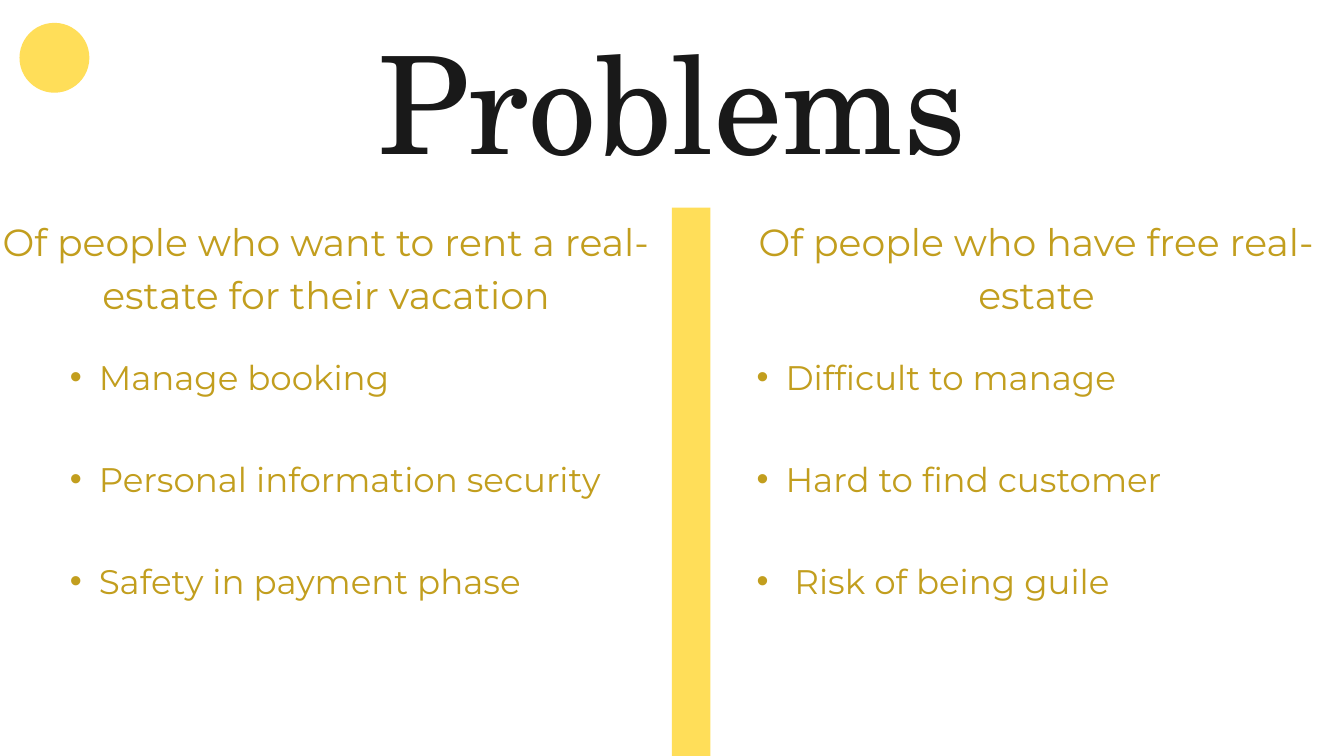
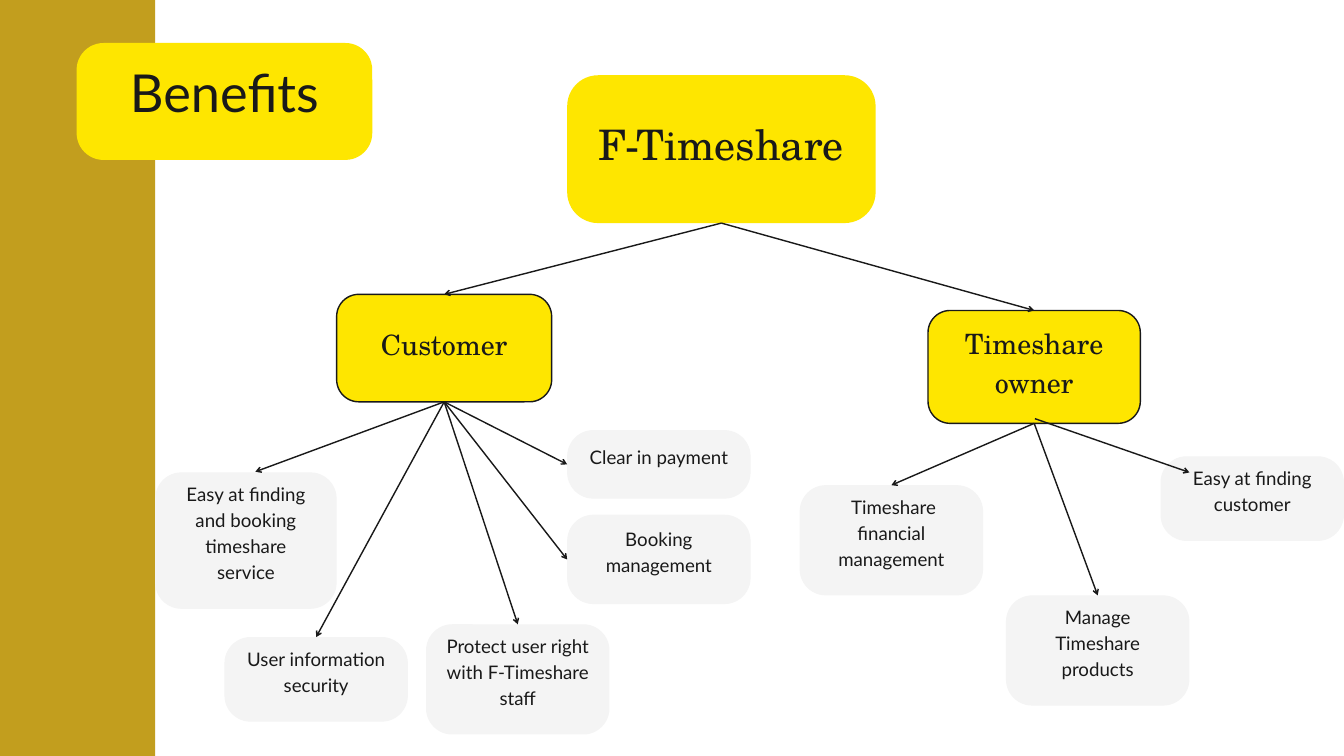
"""Build the Problems and Benefits slides of the timeshare deck."""
from dataclasses import dataclass
from typing import NamedTuple, Optional

from pptx import Presentation
from pptx import util as u
from pptx.dml.color import RGBColor
from pptx.enum import shapes, text
from pptx.oxml import ns
from lxml import etree

PX = 9144
INK, GOLD, AMBER, YELLOW, GREY = "191919", "C29E1E", "FFDE59", "FEE600", "F4F4F4"
SERIF, SANS, BODY = "TeX Gyre Schola", "Lato", "Montserrat"
LINE_WIDTH = u.Pt(1.5)


class Box(NamedTuple):
    left: int
    top: int
    width: int
    height: int


class TextStyle(NamedTuple):
    font: str
    size: float
    leading: float
    colour: str = INK
    align: Optional[text.PP_ALIGN] = text.PP_ALIGN.CENTER


class NodeStyle(NamedTuple):
    text: TextStyle
    fill: str
    radius: int
    top_inset: int = 0
    outlined: bool = False


@dataclass
class Node:
    name: str
    label: str
    box: Box
    style: NodeStyle


@dataclass
class Link:
    parent: str
    child: str
    site: int = 0
    start: Optional[tuple[int, int]] = None
    end: Optional[tuple[int, int]] = None


@dataclass
class Column:
    heading: str
    items: list[str]
    heading_left: int
    list_left: int
    first_idx: int


BIG_TITLE = TextStyle(SERIF, 145.3, 203.4)
PILL_TITLE = TextStyle(SANS, 56, 67.2)
HEADING = TextStyle(BODY, 40.5, 56.7, GOLD)
ITEM = TextStyle(BODY, 36.5, 51.1, GOLD, text.PP_ALIGN.LEFT)
ITEM_GAP = 58.3

ROOT = NodeStyle(TextStyle(SERIF, 45, 63), YELLOW, 46)
GROUP = NodeStyle(TextStyle(SERIF, 30, 42), YELLOW, 33, 8, True)
LEAF = NodeStyle(TextStyle(SANS, 20, 28), GREY, 39)

COLUMNS = [
    Column("Of people who want to rent a real-estate for their vacation",
           ["Manage booking", "Personal information security", "Safety in payment phase"],
           0, 61, 1),
    Column("Of people who have free real-estate",
           ["Difficult to manage", "Hard to find customer", " Risk of being guile"],
           1057, 1083, 3),
]

NODES = [
    Node("root", "F-Timeshare", Box(844, 112, 459, 220), ROOT),
    Node("customer", "Customer", Box(501, 438, 320, 160), GROUP),
    Node("owner", "Timeshare owner", Box(1381, 462, 316, 168), GROUP),
    Node("finding", "Easy at finding and booking timeshare service",
         Box(231, 703, 270, 203), LEAF),
    Node("security", "User information security", Box(334, 948, 273, 126), LEAF),
    Node("right", "Protect user right with F-Timeshare staff", Box(634, 929, 273, 164), LEAF),
    Node("payment", "Clear in payment", Box(844, 640, 273, 102), LEAF),
    Node("booking", "Booking management", Box(844, 766, 273, 133), LEAF),
    Node("financial", " Timeshare financial management", Box(1190, 722, 273, 164), LEAF),
    Node("products", "Manage Timeshare products", Box(1497, 886, 273, 164), LEAF),
    Node("clients", "Easy at finding customer", Box(1727, 679, 273, 126), LEAF),
]

LINKS = [
    Link("root", "customer"),
    Link("root", "owner"),
    Link("customer", "finding", end=(380, 702)),
    Link("customer", "security"),
    Link("customer", "right"),
    Link("customer", "payment", 1),
    Link("customer", "booking", 1),
    Link("owner", "financial"),
    Link("owner", "products"),
    Link("owner", "clients", start=(1540, 623), end=(1770, 703)),
]


def rgb(colour: str) -> RGBColor:
    return RGBColor.from_string(colour)


def emu(box: Box) -> list[int]:
    return [n * PX for n in box]


def set_frame(tf, insets: Box, anchor) -> None:
    tf.word_wrap = True
    tf.auto_size = text.MSO_AUTO_SIZE.NONE
    tf.vertical_anchor = anchor
    tf.margin_left, tf.margin_top, tf.margin_right, tf.margin_bottom = emu(insets)


def write(p, label: str, style: TextStyle, before: float = 0) -> None:
    p.alignment = style.align
    p.line_spacing = u.Pt(style.leading)
    p.space_before = u.Pt(before)
    r = p.add_run()
    r.text = label
    r.font.name = style.font
    r.font.size = u.Pt(style.size)
    r.font.bold = False
    r.font.color.rgb = rgb(style.colour)


def place(sp, box: Box, inset: int = 0, anchor=text.MSO_ANCHOR.TOP):
    sp.left, sp.top, sp.width, sp.height = emu(box)
    set_frame(sp.text_frame, Box(inset, inset, inset, inset), anchor)
    return sp.text_frame


def add_shape(s, kind, box: Box, fill: str, radius: int = 0, outlined: bool = False):
    sp = s.shapes.add_shape(kind, *emu(box))
    sp.shadow.inherit = False
    sp.fill.solid()
    sp.fill.fore_color.rgb = rgb(fill)
    if outlined:
        sp.line.color.rgb = rgb(INK)
        sp.line.width = LINE_WIDTH
    else:
        sp.line.fill.background()
    if radius:
        sp.adjustments[0] = radius / min(box.width, box.height)
    return sp


def add_bullet(p) -> None:
    pPr = p._p.get_or_add_pPr()
    pPr.set("marL", str(86 * PX))
    pPr.set("indent", str(-43 * PX))
    etree.SubElement(pPr, ns.qn("a:buFont")).set("typeface", "Arial")
    etree.SubElement(pPr, ns.qn("a:buChar")).set("char", "•")


def add_column(s, column: Column) -> None:
    heading, items = (s.placeholders[column.first_idx + i] for i in range(2))
    tf = place(heading, Box(column.heading_left, 314, 971, 152))
    write(tf.paragraphs[0], column.heading, HEADING)
    tf = place(items, Box(column.list_left, 520, 917, 372))
    for i, item in enumerate(column.items):
        p = tf.add_paragraph() if i else tf.paragraphs[0]
        add_bullet(p)
        write(p, item, ITEM, ITEM_GAP if i else 0)


def add_node(s, node: Node):
    style = node.style
    sp = add_shape(s, shapes.MSO_SHAPE.ROUNDED_RECTANGLE, node.box, style.fill,
                   style.radius, style.outlined)
    set_frame(sp.text_frame, Box(17, style.top_inset, 17, 28), text.MSO_ANCHOR.MIDDLE)
    write(sp.text_frame.paragraphs[0], node.label, style.text)
    return sp


def add_link(s, link: Link, drawn: dict) -> None:
    ends = (link.start or (0, 0)) + (link.end or (0, 0))
    c = s.shapes.add_connector(shapes.MSO_CONNECTOR.STRAIGHT, *(n * PX for n in ends))
    if link.start is None:
        c.begin_connect(drawn[link.parent], 2)
    if link.end is None:
        c.end_connect(drawn[link.child], link.site)
    c.line.color.rgb = rgb(INK)
    c.line.width = LINE_WIDTH
    spPr = c.element.spPr
    etree.SubElement(spPr.find(ns.qn("a:ln")), ns.qn("a:tailEnd")).set("type", "arrow")
    etree.SubElement(spPr, ns.qn("a:effectLst"))


def build_problems(prs) -> None:
    s = prs.slides.add_slide(prs.slide_layouts[4])
    tf = place(s.shapes.title, Box(500, -12, 1000, 272))
    write(tf.paragraphs[0], "Problems", BIG_TITLE)
    add_shape(s, shapes.MSO_SHAPE.RECTANGLE, Box(1000, 309, 57, 816), AMBER)
    add_shape(s, shapes.MSO_SHAPE.OVAL, Box(29, 34, 104, 104), AMBER)
    for column in COLUMNS:
        add_column(s, column)


def build_benefits(prs) -> None:
    s = prs.slides.add_slide(prs.slide_layouts[5])
    add_shape(s, shapes.MSO_SHAPE.RECTANGLE, Box(0, 0, 231, 1125), GOLD)
    add_shape(s, shapes.MSO_SHAPE.ROUNDED_RECTANGLE, Box(114, 64, 440, 174), YELLOW, 40)
    title = s.shapes.title
    tf = place(title, Box(114, 36, 440, 201), 28, text.MSO_ANCHOR.MIDDLE)
    write(tf.paragraphs[0], "Benefits", PILL_TITLE)
    title.element.getparent().append(title.element)
    drawn = {node.name: add_node(s, node) for node in NODES}
    for link in LINKS:
        add_link(s, link, drawn)


def main() -> None:
    prs = Presentation()
    prs.slide_width, prs.slide_height = 2000 * PX, 1125 * PX
    build_problems(prs)
    build_benefits(prs)
    prs.save("out.pptx")


if __name__ == "__main__":
    main()
